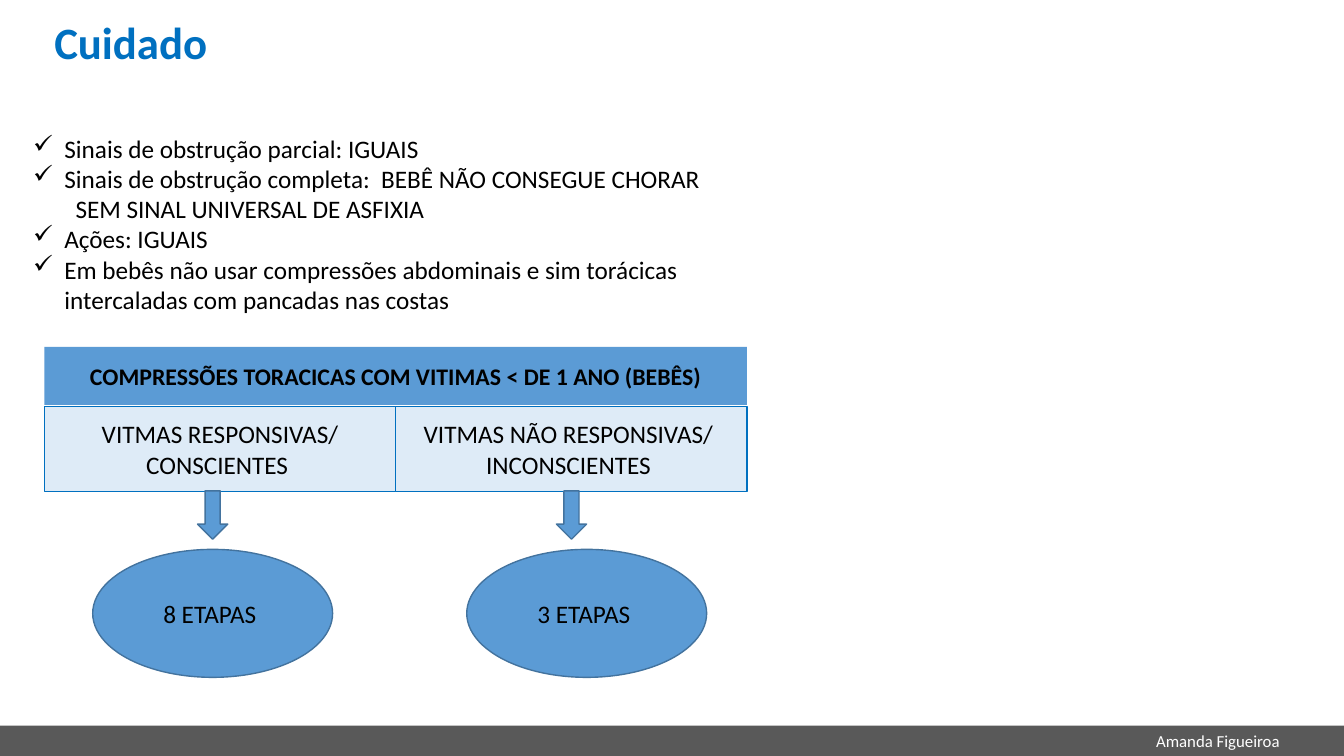
"""Build the slide on care for choking babies."""
from dataclasses import dataclass
from typing import Optional

from lxml.etree import SubElement
from pptx import Presentation
from pptx.dml.color import RGBColor
from pptx.enum.shapes import MSO_SHAPE as Preset
from pptx.enum.text import MSO_ANCHOR as Anchor, PP_ALIGN as Align
from pptx.oxml.ns import qn
from pptx.util import Emu, Inches, Pt

FONT = "Calibri"
BLACK = RGBColor(0x00, 0x00, 0x00)
WHITE = RGBColor(0xFF, 0xFF, 0xFF)
GREY = RGBColor(0x59, 0x59, 0x59)
TITLE_BLUE = RGBColor(0x00, 0x70, 0xC0)
MID_BLUE = RGBColor(0x5B, 0x9B, 0xD5)
PALE_BLUE = RGBColor(0xDE, 0xEB, 0xF7)
EDGE_BLUE = RGBColor(0x43, 0x73, 0x9E)

WIDTH, HEIGHT = Inches(13.33), Inches(7.5)
HANGING = Inches(0.31)
CONTINUATION = Inches(0.42)


@dataclass(frozen=True)
class Area:
    """Left, top, width and height in percent of the slide."""
    left: float
    top: float
    width: float
    height: float

    def lengths(self) -> tuple[Emu, ...]:
        """Return the four lengths on the slide."""
        shares = (self.left, self.top, self.width, self.height)
        return tuple(Emu(round(share / 100 * side))
                     for share, side in zip(shares, (WIDTH, HEIGHT) * 2))


@dataclass(frozen=True)
class Victim:
    """One column of the scheme, from condition to number of steps."""
    condition: tuple[str, ...]
    steps: str
    arrow_left: float
    steps_left: float


@dataclass(frozen=True)
class Sign:
    """A line of the list, with a check mark unless it continues another."""
    wording: str
    checked: bool = True


SCHEME_LEFT, CELL_WIDTH = 3.3, 26.14
VICTIMS = (
    Victim(("VITMAS RESPONSIVAS/ CONSCIENTES ",), "8 ETAPAS ", 14.7, 6.9),
    Victim(("VITMAS NÃO RESPONSIVAS/ ", "INCONSCIENTES "), "3 ETAPAS ", 41.4, 34.73),
)
SIGNS = (
    Sign("Sinais de obstrução parcial: IGUAIS"),
    Sign("Sinais de obstrução completa:  BEBÊ NÃO CONSEGUE CHORAR"),
    Sign("SEM SINAL UNIVERSAL DE ASFIXIA", checked=False),
    Sign("Ações: IGUAIS"),
    Sign("Em bebês não usar compressões abdominais e sim torácicas "
         "intercaladas com pancadas nas costas"),
)


def write(holder, *lines: str, size: float = 18, color: RGBColor = BLACK,
          bold: bool = False, align: Align = Align.CENTER,
          anchor: Anchor = Anchor.MIDDLE, wrap: bool = True) -> None:
    """Write one paragraph per line in the given format."""
    frame = holder.text_frame
    frame.word_wrap = wrap
    frame.vertical_anchor = anchor
    for index, line in enumerate(lines):
        paragraph = frame.add_paragraph() if index else frame.paragraphs[0]
        paragraph.alignment = align
        run = paragraph.add_run()
        run.text = line
        run.font.name, run.font.size = FONT, Pt(size)
        run.font.bold, run.font.color.rgb = bold, color


def draw(slide, preset: Preset, area: Area, fill: RGBColor,
         edge: Optional[RGBColor] = None):
    """Draw a flat preset shape, with a thin edge if one is given."""
    shape = slide.shapes.add_shape(preset, *area.lengths())
    shape.shadow.inherit = False
    shape.fill.solid()
    shape.fill.fore_color.rgb = fill
    if edge is None:
        shape.line.fill.background()
    else:
        shape.line.color.rgb, shape.line.width = edge, Pt(1)
    return shape


def text_area(slide, area: Area):
    """Add an empty text box."""
    return slide.shapes.add_textbox(*area.lengths())


def list_signs(slide) -> None:
    """Write the checked list of signs and actions."""
    signs = text_area(slide, Area(1.73, 16.93, 54.77, 25.6))
    write(signs, *(sign.wording for sign in SIGNS),
          align=Align.LEFT, anchor=Anchor.TOP)
    for sign, paragraph in zip(SIGNS, signs.text_frame.paragraphs):
        properties = paragraph._p.get_or_add_pPr()
        margin, indent = (HANGING, -HANGING) if sign.checked else (CONTINUATION, 0)
        properties.set("marL", str(int(margin)))
        properties.set("indent", str(int(indent)))
        if sign.checked:
            SubElement(properties, qn("a:buChar")).set("char", "✓")


def draw_scheme(slide) -> None:
    """Draw the heading and one column for each kind of victim."""
    heading = draw(slide, Preset.RECTANGLE,
                   Area(SCHEME_LEFT, 45.87, 2 * CELL_WIDTH, 7.7), MID_BLUE)
    write(heading, "COMPRESSÕES TORACICAS COM VITIMAS < DE 1 ANO (BEBÊS)",
          size=17, bold=True)
    for column, victim in enumerate(VICTIMS):
        left = SCHEME_LEFT + column * CELL_WIDTH
        condition = draw(slide, Preset.RECTANGLE,
                         Area(left, 53.73, CELL_WIDTH, 11.3), PALE_BLUE, TITLE_BLUE)
        write(condition, *victim.condition)
        draw(slide, Preset.DOWN_ARROW,
             Area(victim.arrow_left, 64.93, 2.25, 6.4), MID_BLUE, EDGE_BLUE)
        steps = draw(slide, Preset.OVAL,
                     Area(victim.steps_left, 72.67, 17.85, 16.93), MID_BLUE, EDGE_BLUE)
        write(steps, victim.steps)


def main() -> None:
    """Build and save the slide."""
    deck = Presentation()
    deck.slide_width, deck.slide_height = WIDTH, HEIGHT
    slide = deck.slides.add_slide(deck.slide_layouts[6])
    draw(slide, Preset.RECTANGLE, Area(0, 96, 100, 4), GREY)
    write(text_area(slide, Area(3.3, 1.33, 12.98, 8.53)), "Cuidado", size=32,
          color=TITLE_BLUE, bold=True, align=Align.LEFT, anchor=Anchor.TOP, wrap=False)
    write(text_area(slide, Area(81.25, 96, 18.75, 4)), "Amanda Figueiroa",
          size=12, color=WHITE, anchor=Anchor.TOP)
    list_signs(slide)
    draw_scheme(slide)
    deck.save("out.pptx")


if __name__ == "__main__":
    main()
